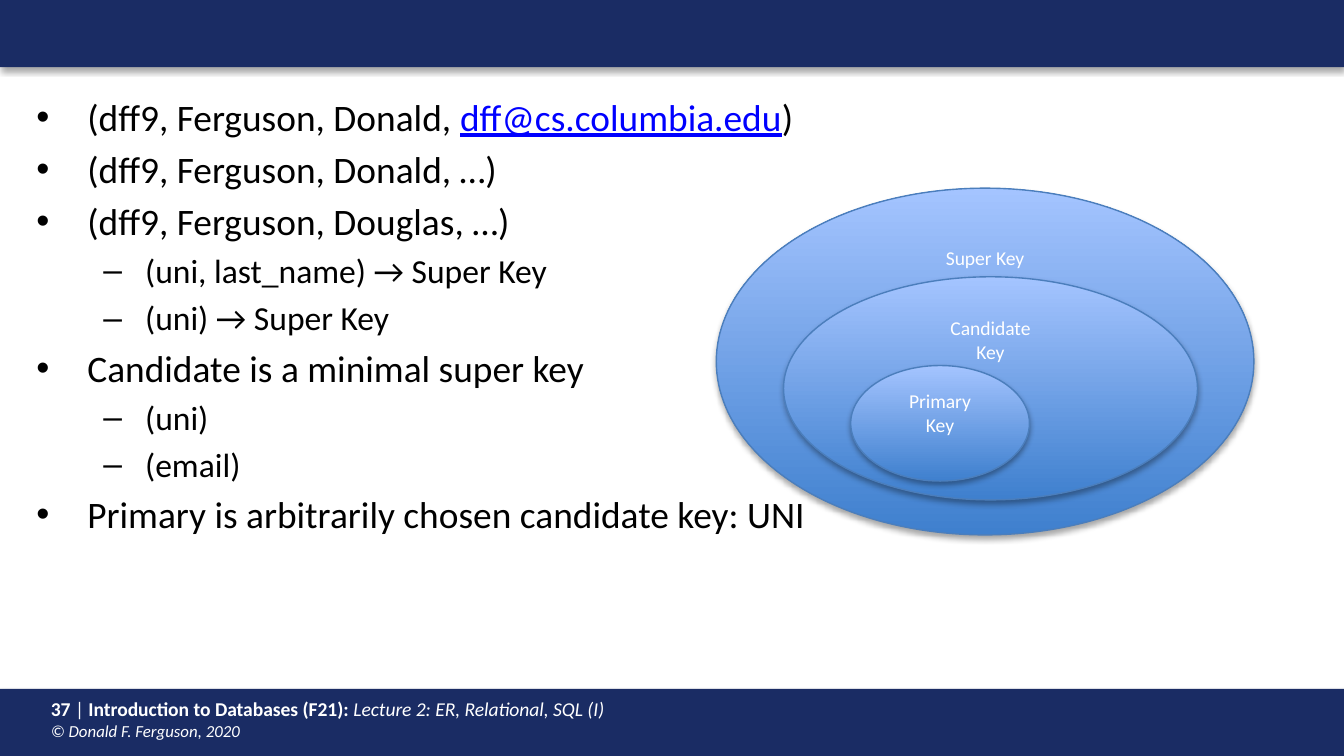
from copy import deepcopy
from pptx import Presentation
from pptx.dml.color import RGBColor
from pptx.enum.shapes import MSO_SHAPE
from pptx.enum.text import MSO_ANCHOR, MSO_AUTO_SIZE, PP_ALIGN
from pptx.oxml import parse_xml
from pptx.oxml.ns import qn
from pptx.util import Inches, Pt

RECT, OVAL = MSO_SHAPE.RECTANGLE, MSO_SHAPE.OVAL
TOP, CENTER, FIXED = MSO_ANCHOR.TOP, PP_ALIGN.CENTER, MSO_AUTO_SIZE.NONE
NAVY = RGBColor(0x1A, 0x2C, 0x64)
WHITE = RGBColor(0xFF, 0xFF, 0xFF)
BLACK = RGBColor(0, 0, 0)
BLUE = RGBColor(0, 0, 0xFF)
DEEP = RGBColor(0x3F, 0x80, 0xCE)
PALE = RGBColor(0xA4, 0xC4, 0xFF)
EDGE = RGBColor(0x4B, 0x7E, 0xBC)
FONT = "Calibri"
WIDE, BAR = 10, 0.5
HIGH = WIDE * 9 / 16
MAIL = "dff@cs.columbia.edu"

POINTS = [
    (0, ["(dff9, Ferguson, Donald, ", MAIL, ")"]),
    (0, ["(dff9, Ferguson, Donald, …)"]),
    (0, ["(dff9, Ferguson, Douglas, …)"]),
    (1, ["(uni, last_name) → Super Key"]),
    (1, ["(uni) → Super Key"]),
    (0, ["Candidate is a minimal super key"]),
    (1, ["(uni)"]),
    (1, ["(email)"]),
    (0, ["Primary is arbitrarily chosen candidate key: UNI"]),
]
LEVELS = [(20, 0.38, 0.38), (18, 0.81, 0.31)]
KEYS = [
    ("Super Key", 5.33, 1.4, 4, 2.58),
    ("Candidate\vKey", 5.83, 2.06, 3.08, 1.66),
    ("Primary\vKey", 6.33, 2.72, 1.33, 0.86),
]
FOOTER = [
    ("37 ", 10.5, True, False),
    ("|", 10.5, False, False),
    (" Introduction to Databases (F21): ", 10.5, True, False),
    ("Lecture 2: ER, Relational, SQL (I)", 10.5, False, True),
    ("© Donald F. Ferguson, 2020", 9, False, True),
]
SHADOW = (
    '<a:effectLst xmlns:a="http://schemas.openxmlformats.org/drawingml/2006/main">'
    '<a:outerShdw blurRad="{}" dist="{}" dir="5400000" rotWithShape="0">'
    '<a:srgbClr val="000000"><a:alpha val="35000"/></a:srgbClr>'
    '</a:outerShdw></a:effectLst>'
).format(Pt(3.1), Pt(1.8))


def style(run, size, color, bold=False, italic=False):
    font = run.font
    font.name, font.size, font.bold, font.italic = FONT, Pt(size), bold, italic
    font.color.rgb = color


def match_breaks(line):
    for gap in line._p.findall(qn("a:br")):
        gap.append(deepcopy(line.runs[-1]._r.rPr))


def add_shape(slide, kind, *box):
    shape = slide.shapes.add_shape(kind, *map(Inches, box))
    shape._element.spPr.append(parse_xml(SHADOW))
    return shape


def add_bar(slide, top):
    bar = add_shape(slide, RECT, 0, top, WIDE, BAR)
    bar.fill.solid()
    bar.fill.fore_color.rgb = NAVY
    bar.line.fill.background()


def add_footer(slide):
    box = slide.shapes.add_textbox(*map(Inches, (0.28, 5.14, 7.42, 0.43)))
    box.text_frame.word_wrap = True
    line = box.text_frame.paragraphs[0]
    for i, (text, size, bold, italic) in enumerate(FOOTER):
        if i == len(FOOTER) - 1:
            line.add_line_break()
        run = line.add_run()
        run.text = text
        style(run, size, WHITE, bold, italic)
    match_breaks(line)


def fill_body(body):
    body.left, body.top, body.width, body.height = map(
        Inches, (0.17, 0.65, 9.67, 4.42))
    frame = body.text_frame
    frame.auto_size = FIXED
    for i, (level, parts) in enumerate(POINTS):
        size, left, hang = LEVELS[level]
        line = frame.add_paragraph() if i else frame.paragraphs[0]
        line.level = level
        props = line._p.get_or_add_pPr()
        props.set("marL", str(Inches(left)))
        props.set("indent", str(-Inches(hang)))
        for text in parts:
            run = line.add_run()
            run.text = text
            style(run, size, BLUE if text == MAIL else BLACK)
            run.font.underline = text == MAIL
    frame.paragraphs[0].space_before = Pt(0)


def add_key(slide, label, *box):
    oval = add_shape(slide, OVAL, *box)
    oval.fill.gradient()
    oval.fill.gradient_angle = 90
    for stop, color, spot in zip(oval.fill.gradient_stops, (DEEP, PALE), (0, 1)):
        stop.color.rgb = color
        stop.position = spot
    oval.line.color.rgb = EDGE
    oval.line.width = Pt(0.75)
    frame = oval.text_frame
    frame.word_wrap = True
    frame.vertical_anchor = TOP
    line = frame.paragraphs[0]
    line.text = label
    line.alignment = CENTER
    for run in line.runs:
        style(run, 10.5, WHITE)
    match_breaks(line)


def main():
    deck = Presentation()
    deck.slide_width, deck.slide_height = Inches(WIDE), Inches(HIGH)
    slide = deck.slides.add_slide(deck.slide_layouts[1])
    title = slide.shapes.title._element
    title.getparent().remove(title)
    fill_body(slide.placeholders[1])
    for top in (HIGH - BAR, 0):
        add_bar(slide, top)
    add_footer(slide)
    for key in KEYS:
        add_key(slide, *key)
    deck.save("out.pptx")


if __name__ == "__main__":
    main()
